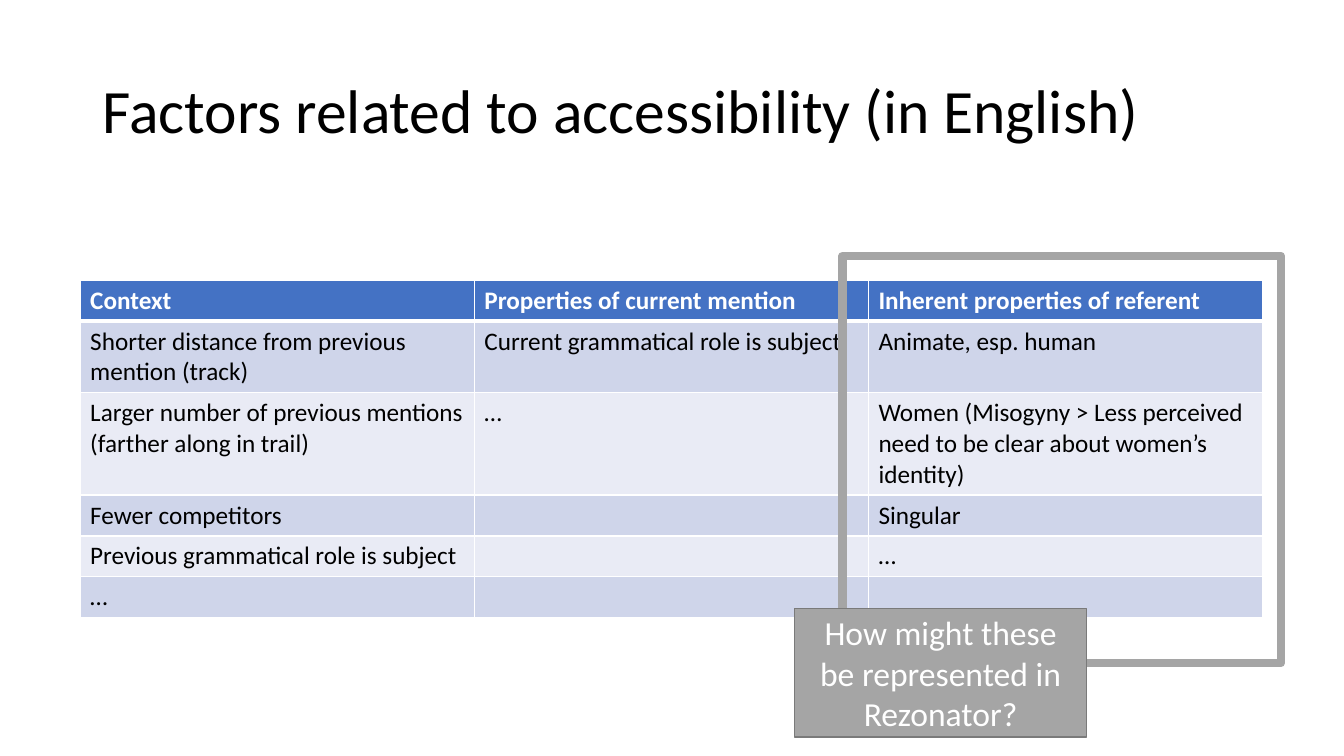
from lxml.etree import SubElement
from pptx import Presentation
from pptx.dml.color import RGBColor
from pptx.enum.shapes import MSO_SHAPE as Shape
from pptx.enum.text import MSO_ANCHOR as Anchor, PP_ALIGN as Align
from pptx.oxml.ns import qn
from pptx.util import Cm, Pt

COLORS = {
    "text": "000000", "white": "FFFFFF", "header": "4472C4",
    "odd": "CFD5EA", "even": "E9EBF5", "gray": "A5A5A5", "edge": "7A7A7A",
}
FACTORS = [
    ("Context", "Properties of current mention", "Inherent properties of referent"),
    ("Shorter distance from previous mention (track)",
     "Current grammatical role is subject", "Animate, esp. human"),
    ("Larger number of previous mentions (farther along in trail)", "…",
     "Women (Misogyny > Less perceived need to be clear about women’s identity)"),
    ("Fewer competitors", "", "Singular"),
    ("Previous grammatical role is subject", "", "…"),
    ("…", "", ""),
]


def color(name):
    """Return the named colour."""
    return RGBColor.from_string(COLORS[name])


def write(frame, text, size, ink, align=Align.LEFT, bold=False):
    """Write one formatted paragraph and return it."""
    paragraph = frame.paragraphs[0]
    paragraph.alignment = align
    run = paragraph.add_run()
    run.text = text
    for name, value in {"name": "Calibri", "size": Pt(size), "bold": bold}.items():
        setattr(run.font, name, value)
    run.font.color.rgb = color(ink)
    return paragraph


def add_border(cell, side, points):
    """Draw a white line on one side of a cell."""
    line = SubElement(cell._tc.get_or_add_tcPr(), qn(f"a:ln{side}"), w=str(Pt(points)))
    fill = SubElement(line, qn("a:solidFill"))
    SubElement(fill, qn("a:srgbClr"), val=COLORS["white"])


def place_title(slide, text, left, top, width, height):
    """Move the title placeholder to its box and fill it."""
    title = slide.shapes.title
    box = {"left": left, "top": top, "width": width, "height": height}
    for name, value in box.items():
        setattr(title, name, Cm(value))
    title.text_frame.vertical_anchor = Anchor.MIDDLE
    write(title.text_frame, text, 44, "text").line_spacing = 0.9


def add_factor_table(slide, left, top, width, row_height):
    """Add the table of factors with a header and banded rows."""
    row_count, column_count = len(FACTORS), len(FACTORS[0])
    table = slide.shapes.add_table(
        row_count, column_count, Cm(left), Cm(top), Cm(width), Cm(row_height * row_count)
    ).table
    for row_index, texts in enumerate(FACTORS):
        header = row_index == 0
        band = "header" if header else ("even", "odd")[row_index % 2]
        for column_index, text in enumerate(texts):
            cell = table.cell(row_index, column_index)
            for side in "LRTB":
                thick = (header and side == "B") or (row_index == 1 and side == "T")
                add_border(cell, side, 3 if thick else 1)
            cell.fill.solid()
            cell.fill.fore_color.rgb = color(band)
            if text:
                write(cell.text_frame, text, 18, "white" if header else "text", bold=header)


def add_box(slide, left, top, width, height, edge, points, fill=None):
    """Add an outlined rectangle, filled when a fill is named."""
    box = slide.shapes.add_shape(
        Shape.RECTANGLE, Cm(left), Cm(top), Cm(width), Cm(height))
    box.shadow.inherit = False
    box.line.color.rgb = color(edge)
    box.line.width = Pt(points)
    if fill:
        box.fill.solid()
        box.fill.fore_color.rgb = color(fill)
    else:
        box.fill.background()
    return box


def add_callout(slide, text, left, top, width, height):
    """Add the gray question box."""
    frame = add_box(slide, left, top, width, height, "edge", 1, "gray").text_frame
    frame.word_wrap = True
    frame.vertical_anchor = Anchor.MIDDLE
    write(frame, text, 24, "white", Align.CENTER)


def main():
    """Build and save the slide."""
    presentation = Presentation()
    presentation.slide_width, presentation.slide_height = Cm(33.87), Cm(19.05)
    slide = presentation.slides.add_slide(presentation.slide_layouts[5])
    place_title(slide, "Factors related to accessibility (in English)", 2.33, 1.01, 29.21, 3.68)
    add_factor_table(slide, 2.02, 7.06, 29.8, 1.03)
    add_box(slide, 21.23, 6.45, 11.05, 10.26, "gray", 6)
    add_callout(slide, "How might these be represented in Rezonator?", 20.02, 15.34, 7.37, 3.23)
    presentation.save("out.pptx")


if __name__ == "__main__":
    main()
